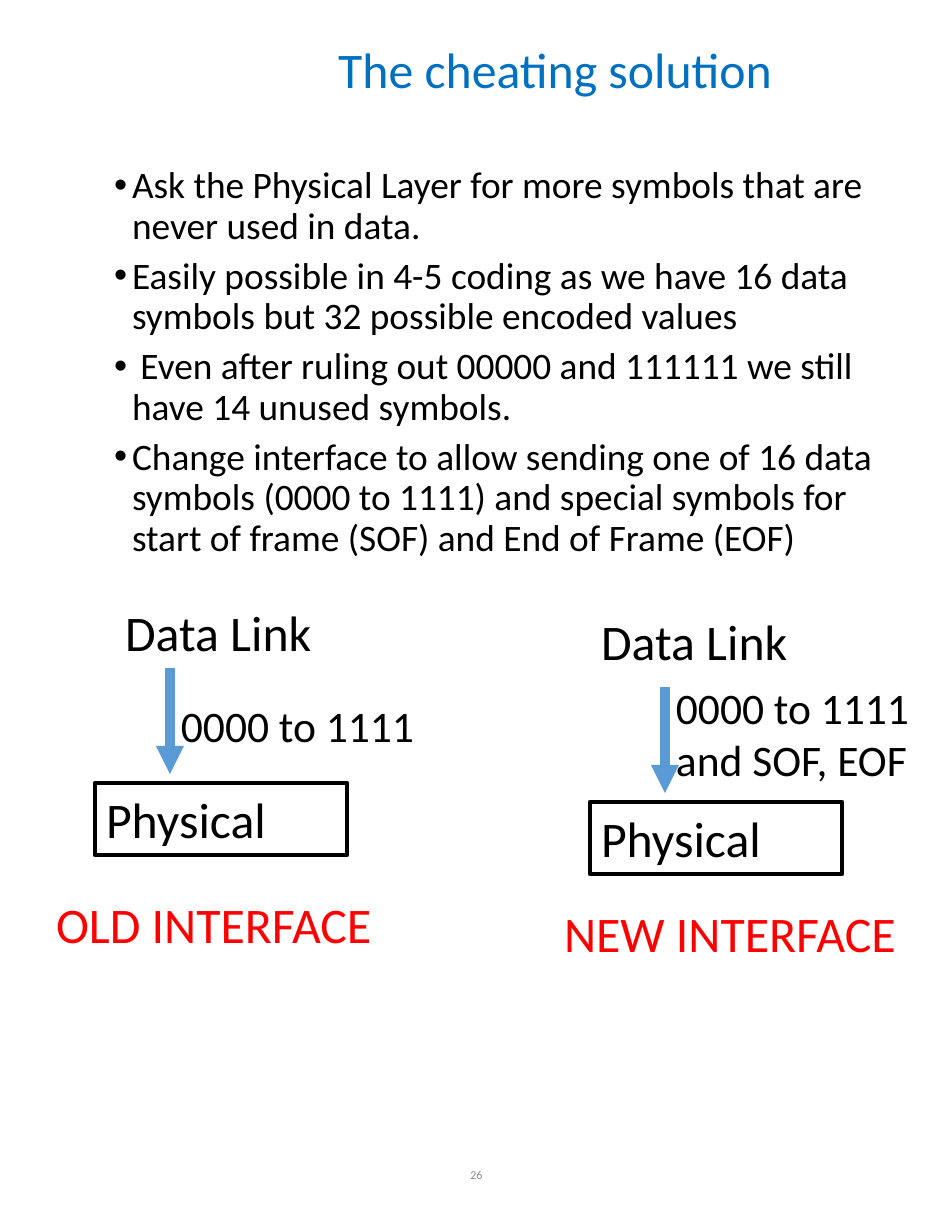
import pptx
import pptx.util
import pptx.dml.color
import pptx.enum.shapes
import pptx.enum.text
import pptx.oxml
import pptx.oxml.ns
from dataclasses import dataclass

ANCHOR = pptx.enum.text.MSO_ANCHOR
ALIGN = pptx.enum.text.PP_ALIGN
FIT = pptx.enum.text.MSO_AUTO_SIZE
SHAPES = pptx.enum.shapes


@dataclass(frozen=True)
class Theme:
    font: str = "Calibri"
    ink: str = "000000"
    head: str = "0070C0"
    arrow: str = "5B9BD5"
    alert: str = "FF0000"
    faint: str = "8C8C8C"
    big: float = 32
    note: float = 28
    body: float = 24
    tiny: float = 7.7


THEME = Theme()
POINTS = [
    "Ask the Physical Layer for more symbols that are never used in data.",
    "Easily possible in 4-5 coding as we have 16 data symbols but 32 possible encoded values",
    " Even after ruling out 00000 and 111111 we still have 14 unused symbols.",
    "Change interface to allow sending one of 16 data symbols (0000 to 1111) "
    "and special symbols for start of frame (SOF) and End of Frame (EOF)",
]
# Each part's place is relative to the corner of the Physical box
PANELS = [
    dict(spot=(95, 783), link=(19, -187), note=(75, -90, 259, 64),
         lines=["0000 to 1111"], name="OLD INTERFACE", foot=(-50, 105, 353, 72)),
    dict(spot=(590, 802), link=(0, -197), note=(75, -127, 259, 116),
         lines=["0000 to 1111", "and SOF, EOF"], name="NEW INTERFACE",
         foot=(-37, 95, 370, 72)),
]


def px(size):
    return round(size * 914400 / 112)


def color(code):
    return pptx.dml.color.RGBColor.from_string(code)


def format_all(item, values):
    for key, value in values.items():
        setattr(item, key, value)


def write(shape, lines, size, shade, frame=None, para=None):
    """Fill a shape with one paragraph per line."""
    text = shape.text_frame
    format_all(text, {"word_wrap": True, "auto_size": FIT.NONE,
                      "vertical_anchor": ANCHOR.TOP, **(frame or {})})
    text.text = "\n".join(lines)
    for part in text.paragraphs:
        format_all(part, {"alignment": ALIGN.LEFT, **(para or {})})
        for run in part.runs:
            format_all(run.font, {"name": THEME.font, "size": pptx.util.Pt(size)})
            run.font.color.rgb = color(shade)


def label(slide, box, lines, size, shade, frame=None, para=None):
    shape = slide.shapes.add_textbox(*map(px, box))
    write(shape, lines, size, shade, frame, para)
    return shape


def add_title(slide, box):
    title = slide.shapes.title
    format_all(title, dict(zip(("left", "top", "width", "height"), map(px, box))))
    write(title, ["The cheating solution"], THEME.big, THEME.head,
          {"vertical_anchor": ANCHOR.MIDDLE}, {"line_spacing": 0.9})


def add_body(slide, box):
    shape = label(slide, box, POINTS, THEME.body, THEME.ink,
                  para={"line_spacing": 0.9, "space_before": pptx.util.Pt(6.4)})
    # Hanging bullets
    for part in shape.text_frame.paragraphs:
        props = part._p.get_or_add_pPr()
        props.set("marL", str(px(18)))
        props.set("indent", str(px(-18)))
        for tag, name, value in (("buFont", "typeface", "Arial"), ("buChar", "char", "•")):
            mark = pptx.oxml.parse_xml(f"<a:{tag} {pptx.oxml.ns.nsdecls('a')}/>")
            mark.set(name, value)
            props.append(mark)


def add_arrow(slide, start, end):
    line = slide.shapes.add_connector(
        SHAPES.MSO_CONNECTOR.STRAIGHT, *map(px, (*start, *end)))
    line.line.color.rgb = color(THEME.arrow)
    line.line.width = pptx.util.Pt(6)
    names = pptx.oxml.ns.nsdecls("a")
    props = line._element.spPr
    props.find(pptx.oxml.ns.qn("a:ln")).append(
        pptx.oxml.parse_xml(f'<a:tailEnd {names} type="triangle"/>'))
    props.append(pptx.oxml.parse_xml(f"<a:effectLst {names}/>"))


def add_panel(slide, spot, link, note, lines, name, foot):
    left, top = spot
    grow = {"auto_size": FIT.SHAPE_TO_FIT_TEXT}
    loose = {**grow, "word_wrap": False}

    def place(x, y, wide=252, high=72):
        return left + x, top + y, wide, high

    # Layers and the arrow between them
    label(slide, place(*link), ["Data Link"], THEME.big, THEME.ink, grow)
    layer = slide.shapes.add_shape(
        SHAPES.MSO_SHAPE.RECTANGLE, *map(px, place(0, 0)))
    layer.shadow.inherit = False
    layer.fill.background()
    layer.line.color.rgb = color(THEME.ink)
    layer.line.width = pptx.util.Pt(3)
    write(layer, ["Physical"], THEME.big, THEME.ink, grow)
    add_arrow(slide, place(75, -115)[:2], place(75, -9)[:2])
    # Symbols sent and caption
    label(slide, place(*note), lines, THEME.note, THEME.ink, loose)
    label(slide, place(*foot), [name], THEME.big, THEME.alert, loose)


def main():
    deck = pptx.Presentation()
    format_all(deck, {"slide_width": px(952), "slide_height": px(1232)})
    slide = deck.slides.add_slide(deck.slide_layouts[5])
    add_title(slide, (327, -47, 821, 239))
    add_body(slide, (103, 161, 821, 782))
    # Page number
    label(slide, (316, 1142, 321, 66), ["26"], THEME.tiny, THEME.faint,
          {"vertical_anchor": ANCHOR.MIDDLE}, {"alignment": ALIGN.CENTER})
    for panel in PANELS:
        add_panel(slide, **panel)
    deck.save("out.pptx")


if __name__ == "__main__":
    main()
